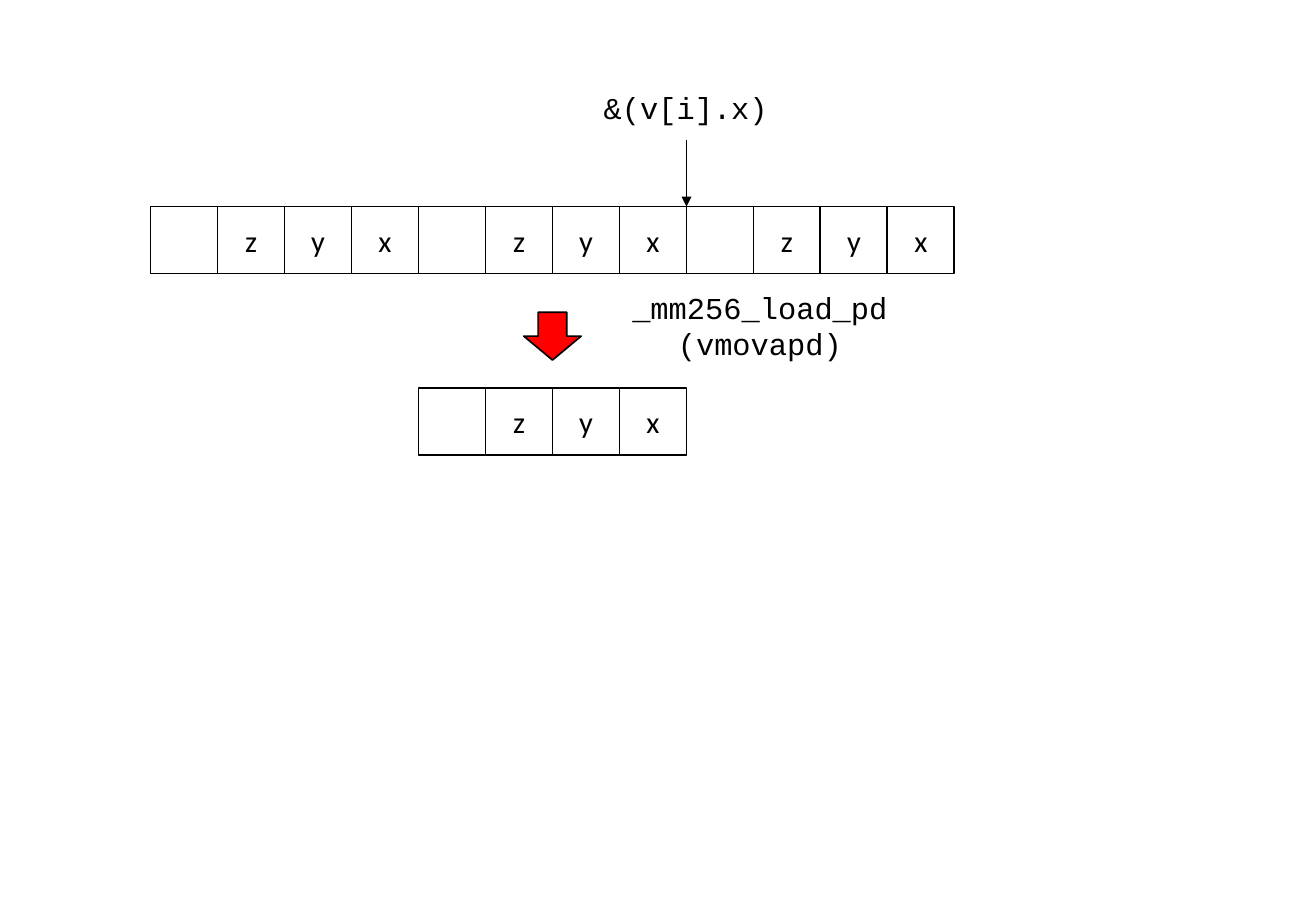
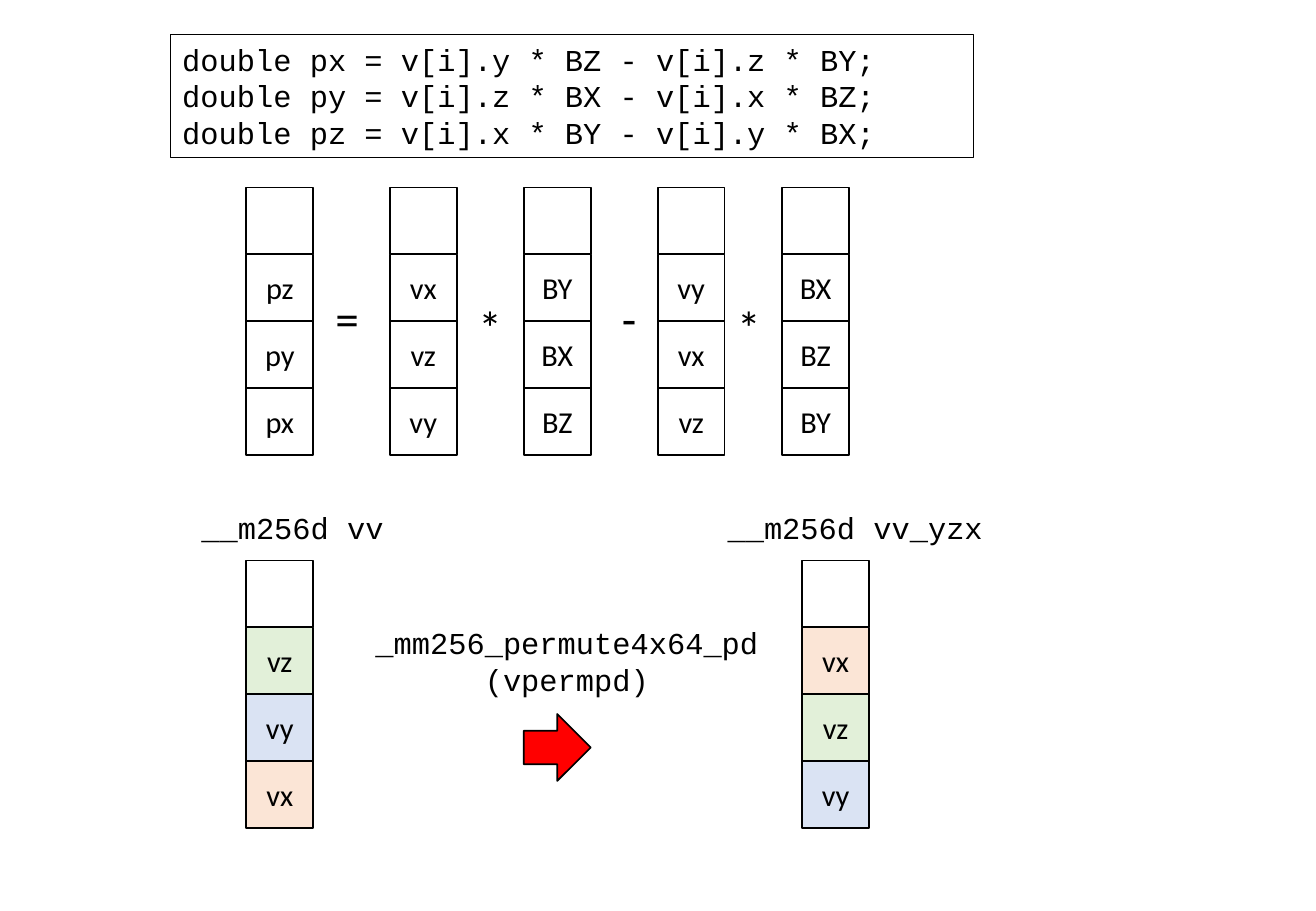
from lxml import etree
from pptx import Presentation
from pptx.dml.color import RGBColor
from pptx.enum.shapes import MSO_CONNECTOR, MSO_SHAPE
from pptx.enum.text import MSO_ANCHOR, MSO_AUTO_SIZE, PP_ALIGN
from pptx.oxml.ns import qn
from pptx.util import Cm, Pt

COLORS = {
    "black": "000000", "white": "FFFFFF", "red": "FF0000",
    "x": "FBE5D6", "y": "DAE3F3", "z": "E2F0D9",
}
SANS, MONO = "Calibri", "Courier New"
CELL = 1.4  # side of a register cell, cm


def add_shape(shapes, kind, x, y, w, h, fill=None, line=1):
    sp = shapes.add_shape(kind, Cm(x), Cm(y), Cm(w), Cm(h))
    sp.shadow.inherit = False
    if fill:
        sp.fill.solid()
        sp.fill.fore_color.rgb = RGBColor.from_string(COLORS[fill])
    else:
        sp.fill.background()
    sp.line.color.rgb = RGBColor.from_string(COLORS["black"])
    sp.line.width = Pt(line)
    return sp


def write(sp, lines, font, size=18, align=PP_ALIGN.LEFT, wrap=True, grow=True):
    tf = sp.text_frame
    tf.word_wrap = wrap
    tf.vertical_anchor = MSO_ANCHOR.TOP if grow else MSO_ANCHOR.MIDDLE
    tf.auto_size = MSO_AUTO_SIZE.SHAPE_TO_FIT_TEXT if grow else MSO_AUTO_SIZE.NONE
    for i, text in enumerate(lines):
        p = tf.add_paragraph() if i else tf.paragraphs[0]
        p.alignment = align
        r = p.add_run()
        r.text = text
        r.font.name = font
        r.font.size = Pt(size)
        r.font.color.rgb = RGBColor.from_string(COLORS["black"])


prs = Presentation()
prs.slide_width, prs.slide_height = Cm(27.51), Cm(19.05)
load, permute = [prs.slides.add_slide(prs.slide_layouts[6]) for _ in range(2)]

# Slide 1: memory row and loaded register
for left, top, names in [(3.15, 4.32, ["", "z", "y", "x"] * 3),
                         (8.75, 8.12, ["", "z", "y", "x"])]:
    for i, name in enumerate(names):
        sp = add_shape(load.shapes, MSO_SHAPE.RECTANGLE, left + i * CELL, top, CELL, CELL)
        if name:
            write(sp, [name], SANS, align=PP_ALIGN.CENTER, grow=False)

add_shape(load.shapes, MSO_SHAPE.DOWN_ARROW, 10.95, 6.53, 1.2, 1, "red")

# Pointer to the element's address
pointer_x = 3.15 + 8 * CELL
pointer = load.shapes.add_connector(
    MSO_CONNECTOR.STRAIGHT, Cm(pointer_x), Cm(2.92), Cm(pointer_x), Cm(4.32))
pointer.line.color.rgb = RGBColor.from_string(COLORS["black"])
pointer.line.width = Pt(0.5)
etree.SubElement(pointer.line._get_or_add_ln(), qn("a:tailEnd"), type="triangle")
etree.SubElement(pointer._element.spPr, qn("a:effectLst"))

# Slide 2: scalar code
code = add_shape(permute.shapes, MSO_SHAPE.RECTANGLE, 3.56, 0.73, 16.8, 2.56, line=0.75)
write(code, [
    "double px = v[i].y * BZ - v[i].z * BY;",
    "double py = v[i].z * BX - v[i].x * BZ;",
    "double pz = v[i].x * BY - v[i].y * BX;",
], MONO)

# Registers of the equation, then the permutation, top cell first
registers = [
    (5.15, 3.92, ["", "pz", "py", "px"], False),
    (8.15, 3.92, ["", "vx", "vz", "vy"], False),
    (10.95, 3.92, ["", "BY", "BX", "BZ"], False),
    (13.75, 3.92, ["", "vy", "vx", "vz"], False),
    (16.35, 3.92, ["", "BX", "BZ", "BY"], False),
    (5.15, 11.72, ["", "vz", "vy", "vx"], True),
    (16.77, 11.72, ["", "vx", "vz", "vy"], True),
]
for left, top, names, tinted in registers:
    shapes = permute.shapes if tinted else permute.shapes.add_group_shape().shapes
    for i, name in enumerate(names):
        fill = name[-1] if tinted and name else "white"
        sp = add_shape(shapes, MSO_SHAPE.RECTANGLE, left, top + i * CELL, CELL, CELL, fill)
        if name:
            write(sp, [name], SANS, align=PP_ALIGN.CENTER, grow=False)

arrow = add_shape(permute.shapes, MSO_SHAPE.DOWN_ARROW, 10.95, 14.93, CELL, CELL, "red")
arrow.rotation = 270

# Labels and operators
labels = [
    (load, 12.95, 5.92, 5.87, 1.8, ["_mm256_load_pd", "(vmovapd)"], MONO, 18, False),
    (load, 12.37, 1.73, 3.96, 1.02, ["&(v[i].x)"], MONO, 18, False),
    (permute, 6.76, 5.92, 1.02, 1.45, ["="], SANS, 28, False),
    (permute, 9.75, 6.12, 1.2, 1.45, ["*"], SANS, 28, True),
    (permute, 15.16, 6.12, 1.2, 1.45, ["*"], SANS, 28, True),
    (permute, 12.75, 5.92, 1.2, 1.45, ["-"], SANS, 28, True),
    (permute, 7.57, 12.93, 8.56, 1.8,
     ["_mm256_permute4x64_pd", "(vpermpd)"], MONO, 18, False),
    (permute, 3.96, 10.52, 4.34, 1.02, ["__m256d vv"], MONO, 18, False),
    (permute, 14.96, 10.52, 5.87, 1.02, ["__m256d vv_yzx"], MONO, 18, False),
]
for s, x, y, w, h, lines, font, size, wrap in labels:
    sp = s.shapes.add_textbox(Cm(x), Cm(y), Cm(w), Cm(h))
    align = PP_ALIGN.CENTER if len(lines) > 1 else PP_ALIGN.LEFT
    write(sp, lines, font, size, align, wrap)

prs.save("out.pptx")
